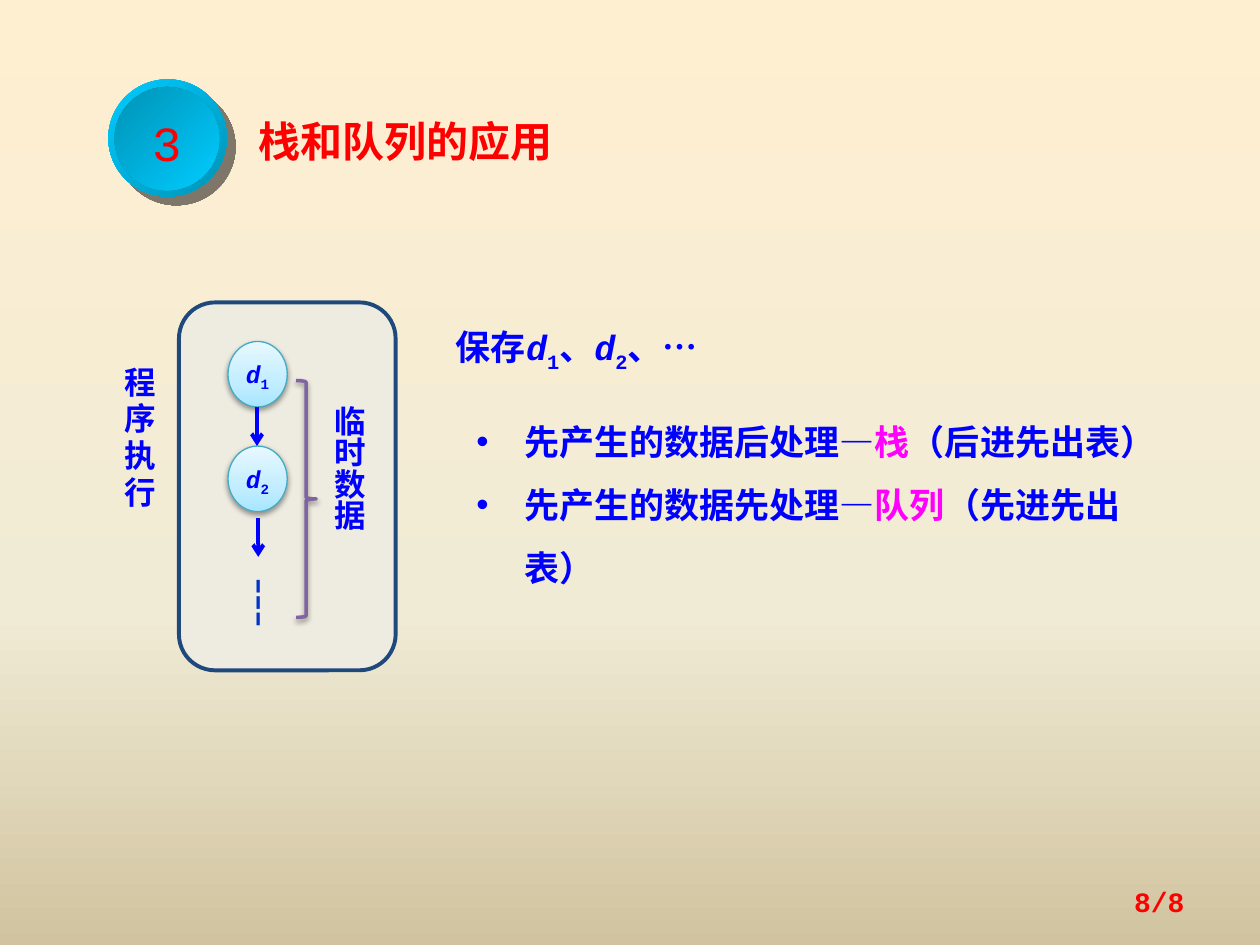
from lxml.etree import SubElement
from pptx import Presentation
from pptx.dml.color import RGBColor
from pptx.enum.shapes import MSO_CONNECTOR, MSO_SHAPE
from pptx.enum.text import MSO_ANCHOR, MSO_AUTO_SIZE, PP_ALIGN
from pptx.oxml.ns import qn
from pptx.util import Inches, Pt

RED = RGBColor(0xFF, 0x00, 0x00)
BLUE = RGBColor(0x00, 0x00, 0xFF)
DEEP_BLUE = RGBColor(0x00, 0x33, 0xCC)
MAGENTA = RGBColor(0xFF, 0x00, 0xFF)
NAVY = RGBColor(0x1F, 0x49, 0x7D)
PURPLE = RGBColor(0x80, 0x64, 0xA2)
NODE_EDGE = RGBColor(0x46, 0xAA, 0xC5)
PANEL = RGBColor(0xEE, 0xEC, 0xE1)
BLACK = RGBColor(0x00, 0x00, 0x00)
NEAR_BLACK = RGBColor(0x02, 0x02, 0x02)
CYAN = RGBColor(0x00, 0xCC, 0xFF)
TEAL = RGBColor(0x00, 0x92, 0xB6)
SKY = [(0, RGBColor(0xA7, 0xE6, 0xFF)), (35, RGBColor(0xC1, 0xED, 0xFF)),
       (100, RGBColor(0xE7, 0xF8, 0xFF))]
SAND = [(0, RGBColor(0xFF, 0xEF, 0xD1)), (65, RGBColor(0xF0, 0xEB, 0xD5)),
        (100, RGBColor(0xD1, 0xC3, 0x9F))]

LATIN, CHINESE = "Courier New", "Noto Sans CJK SC"
SOFT_SHADOW = (BLACK, 38, 3.1, 1.6, 90)  # colour, opacity, blur, distance, angle
SUBSCRIPT = {"baseline": -25}
ITALIC = {"italic": True}


class SlideBuilder:
    def __init__(self, slide):
        self.slide = slide

    def gradient(self, fill, owner, stops, angle):
        fill.gradient()
        element = owner.find(".//" + qn("a:gradFill"))
        stop_list = element.find(qn("a:gsLst"))
        stop_list.clear()
        for position, color in stops:
            stop = SubElement(stop_list, qn("a:gs"), pos=str(position * 1000))
            SubElement(stop, qn("a:srgbClr"), val=str(color))
        element.find(qn("a:lin")).set("ang", str(angle * 60000))

    def background(self, stops, angle):
        self.gradient(self.slide.background.fill, self.slide.element, stops, angle)

    def shadow(self, shape, color, opacity, blur, distance, angle):
        effects = shape.element.spPr.find(qn("a:effectLst"))
        outer = SubElement(effects, qn("a:outerShdw"), blurRad=str(Pt(blur)),
                           dist=str(Pt(distance)), dir=str(angle * 60000),
                           algn="ctr", rotWithShape="0")
        shadow_color = SubElement(outer, qn("a:srgbClr"), val=str(color))
        SubElement(shadow_color, qn("a:alpha"), val=str(opacity * 1000))

    def shape(self, kind, box, fill=None, angle=0, line=None, width=1, shadow=None):
        shape = self.slide.shapes.add_shape(kind, *map(Inches, box))
        shape.shadow.inherit = False
        if fill is None:
            shape.fill.background()
        elif isinstance(fill, list):
            self.gradient(shape.fill, shape.element, fill, angle)
        else:
            shape.fill.solid()
            shape.fill.fore_color.rgb = fill
        if line is None:
            shape.line.fill.background()
        else:
            shape.line.color.rgb = line
            shape.line.width = Pt(width)
        if shadow:
            self.shadow(shape, *shadow)
        return shape

    def arrow(self, x, top, bottom):
        connector = self.slide.shapes.add_connector(
            MSO_CONNECTOR.STRAIGHT, *map(Inches, (x, top, x, bottom)))
        connector.line.color.rgb = BLUE
        connector.line.width = Pt(2.25)
        outline = connector.element.spPr.find(qn("a:ln"))
        SubElement(outline, qn("a:tailEnd"), type="arrow")
        SubElement(connector.element.spPr, qn("a:effectLst"))

    def paragraph(self, paragraph, runs, size, color=BLUE, bold=True, font=LATIN,
                  align=PP_ALIGN.LEFT, spacing=1.1, bullet=None, tracking=0):
        paragraph.alignment = align
        paragraph.line_spacing = spacing
        paragraph.space_before = Pt(0)
        properties = paragraph._p.get_or_add_pPr()
        if bullet:
            indent = Inches(0.38)
            properties.set("marL", str(indent))
            properties.set("indent", str(-indent))
            SubElement(properties, qn("a:buFont"), typeface="Arial")
            SubElement(properties, qn("a:buChar"), char=bullet)
        paragraph.font.size = Pt(size)
        paragraph.font.bold = bold
        paragraph.font.color.rgb = color
        paragraph.font.name = font
        defaults = properties.find(qn("a:defRPr"))
        SubElement(defaults, qn("a:ea"), typeface=CHINESE)
        if tracking:
            defaults.set("spc", str(tracking * 100))
        for text, style in runs:
            run = paragraph.add_run()
            run.text = text
            if "italic" in style:
                run.font.italic = style["italic"]
            if "color" in style:
                run.font.color.rgb = style["color"]
            if "font" in style:
                run.font.name = style["font"]
            if "baseline" in style:
                run._r.get_or_add_rPr().set("baseline", str(style["baseline"] * 1000))

    def fill_text(self, shape, paragraphs, size, anchor=MSO_ANCHOR.TOP, wrap=True,
                  margins=None, vertical=False, **style):
        frame = shape.text_frame
        frame.word_wrap = wrap
        frame.auto_size = MSO_AUTO_SIZE.NONE
        frame.vertical_anchor = anchor
        if margins is not None:
            frame.margin_left = frame.margin_right = Inches(margins)
            frame.margin_top = frame.margin_bottom = Inches(margins)
        if vertical:
            frame._txBody.bodyPr.set("vert", "eaVert")
        for index, runs in enumerate(paragraphs):
            paragraph = frame.add_paragraph() if index else frame.paragraphs[0]
            self.paragraph(paragraph, runs, size, **style)

    def text(self, box, runs, size, **style):
        shape = self.slide.shapes.add_textbox(*map(Inches, box))
        self.fill_text(shape, [runs], size, **style)

    def placeholder(self, index, box, paragraphs, size, **style):
        shape = self.slide.placeholders[index]
        shape.left, shape.top, shape.width, shape.height = map(Inches, box)
        self.fill_text(shape, paragraphs, size, **style)

    def node(self, top, number):
        shape = self.shape(MSO_SHAPE.OVAL, (1.81, top, 0.47, 0.52), SKY, 270,
                           NODE_EDGE, 0.75, SOFT_SHADOW)
        self.fill_text(shape, [[("d", ITALIC), (number, SUBSCRIPT)]], 14,
                       anchor=MSO_ANCHOR.MIDDLE, margins=0, align=PP_ALIGN.CENTER)


def main():
    presentation = Presentation()
    presentation.slide_width, presentation.slide_height = Inches(10), Inches(7.5)
    slide = presentation.slides.add_slide(presentation.slide_layouts[1])
    builder = SlideBuilder(slide)
    builder.background(SAND, 90)

    # Numbered heading
    builder.shape(MSO_SHAPE.OVAL, (0.86, 0.63, 0.94, 0.93), [(0, CYAN), (100, TEAL)],
                  45, shadow=(NEAR_BLACK, 50, 0, 7.1, 45))
    badge = builder.shape(MSO_SHAPE.OVAL, (0.91, 0.69, 0.83, 0.82),
                          [(0, TEAL), (100, CYAN)], 45)
    builder.fill_text(badge, [[("3", {})]], 28, anchor=MSO_ANCHOR.MIDDLE, wrap=False,
                      color=RED, bold=False, align=PP_ALIGN.CENTER)
    builder.placeholder(0, (1.95, 0.83, 3.05, 0.52), [[("栈和队列的应用", {})]], 24,
                        color=RED)

    # Program panel with its chain of data
    builder.shape(MSO_SHAPE.ROUNDED_RECTANGLE, (1.42, 2.4, 1.72, 2.92), PANEL,
                  line=NAVY, width=2.25)
    for top, number in ((2.71, "1"), (3.54, "2")):
        builder.node(top, number)
    builder.arrow(2.04, 3.23, 3.54)
    builder.arrow(2.05, 4.11, 4.42)
    builder.text((1.85, 4.48, 0.39, 0.55), [("┆", {})], 24, color=DEEP_BLUE,
                 align=PP_ALIGN.CENTER)

    # Vertical labels and brace
    builder.text((0.84, 2.81, 0.49, 1.88), [("程序执行", {})], 18, font=CHINESE,
                 vertical=True, tracking=3, align=PP_ALIGN.CENTER)
    builder.text((2.49, 3.12, 0.51, 1.56), [("临时数据", {})], 18, vertical=True,
                 align=PP_ALIGN.CENTER)
    builder.shape(MSO_SHAPE.RIGHT_BRACE, (2.35, 3.02, 0.16, 1.88), line=PURPLE,
                  width=2, shadow=SOFT_SHADOW)

    # Explanation
    builder.text((3.52, 2.5, 3.2, 0.45),
                 [("保存", {}), ("d", ITALIC), ("1", SUBSCRIPT), ("、", {}),
                  ("d", ITALIC), ("2", SUBSCRIPT), ("、", {}),
                  ("…", {"font": CHINESE})], 20)
    rules = [("先产生的数据后处理―", "栈", "（后进先出表）"),
             ("先产生的数据先处理―", "队列", "（先进先出表）")]
    builder.placeholder(1, (3.68, 3.12, 5.62, 1.05),
                        [[(order, {}), (name, {"color": MAGENTA}), (kind, {})]
                         for order, name, kind in rules],
                        20, spacing=1.5, bullet="•")

    # Page number
    builder.text((7.17, 6.95, 2.33, 0.4), [("8/8", {})], 16, color=RED, spacing=1.0,
                 anchor=MSO_ANCHOR.MIDDLE, align=PP_ALIGN.RIGHT)

    presentation.save("out.pptx")


if __name__ == "__main__":
    main()
